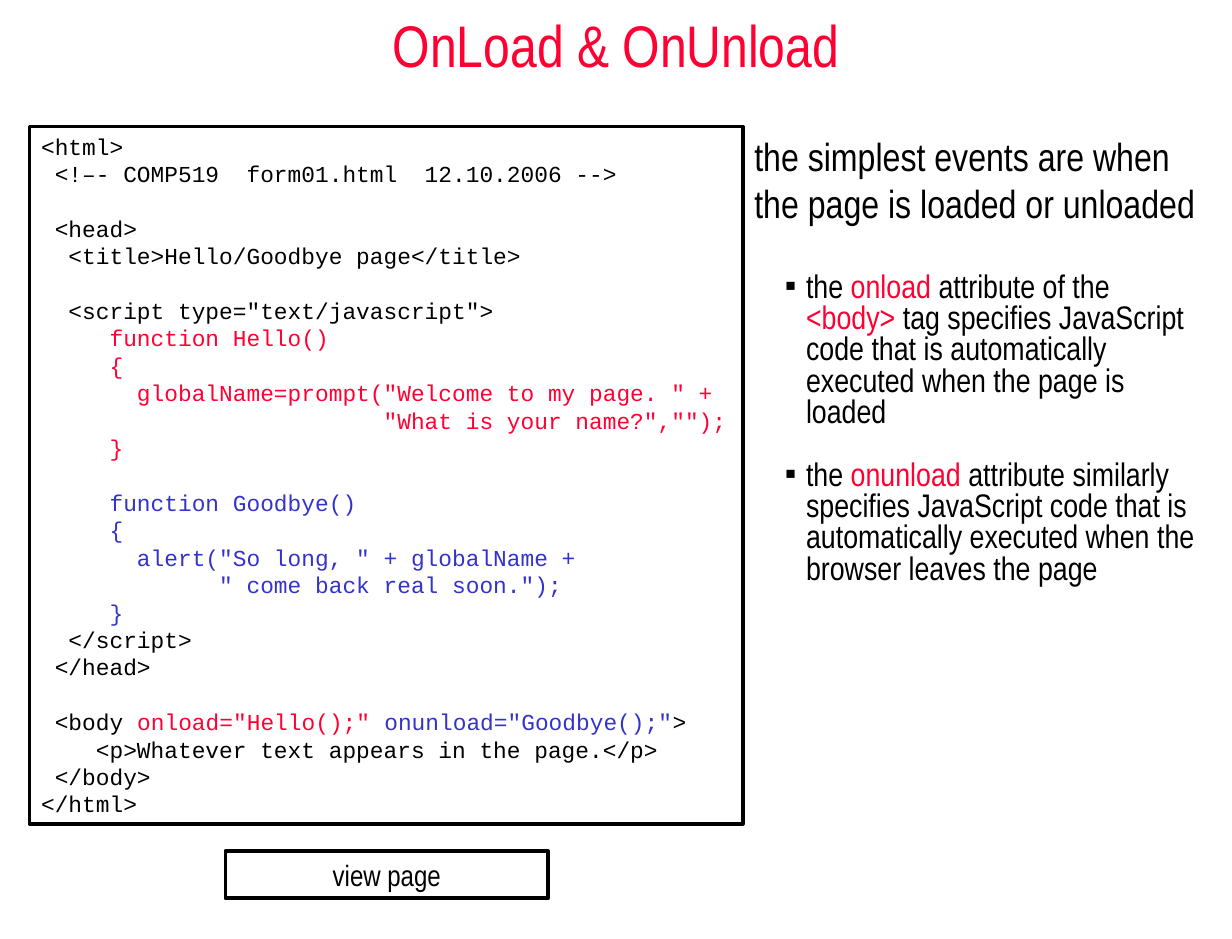
import pptx
import pptx.dml.color
import pptx.enum.text
import pptx.oxml
import pptx.util
from pptx.dml.color import RGBColor
from pptx.enum.shapes import MSO_SHAPE
from pptx.enum.text import MSO_ANCHOR, PP_ALIGN
from pptx.oxml.ns import qn
from pptx.util import Cm, Pt

BLACK = RGBColor(0x00, 0x00, 0x00)
RED = RGBColor(0xFF, 0x00, 0x33)
BLUE = RGBColor(0x33, 0x33, 0xCC)
PROSE_FONT = "Arial Narrow"
CODE_FONT = "Courier New"
CODE_PITCH = Pt(16.8)

CODE_BLOCKS = [
    [
        [("<html>", BLACK)],
        [(" <!–- COMP519  form01.html  12.10.2006 -->", BLACK)],
    ],
    [
        [(" <head>", BLACK)],
        [("  <title>Hello/Goodbye page</title>", BLACK)],
    ],
    [
        [('  <script type="text/javascript">', BLACK)],
        [("     function Hello()", RED)],
        [("     {", RED)],
        [('       globalName=prompt("Welcome to my page. " +', RED)],
        [('                         "What is your name?","");', RED)],
        [("     }", RED)],
    ],
    [
        [("     function Goodbye()", BLUE)],
        [("     {", BLUE)],
        [('       alert("So long, " + globalName +', BLUE)],
        [('             " come back real soon.");', BLUE)],
        [("     }", BLUE)],
        [("  </script>", BLACK)],
        [(" </head>", BLACK)],
    ],
    [
        [(" <body ", BLACK), ('onload="Hello();" ', RED),
         ('onunload="Goodbye();"', BLUE), (">", BLACK)],
        [("    <p>Whatever text appears in the page.</p>", BLACK)],
        [(" </body>", BLACK)],
        [("</html>", BLACK)],
    ],
]

INTRO = [("the simplest events are when the page is loaded or unloaded", BLACK)]
POINTS = [
    ([("the ", BLACK), ("onload", RED), (" attribute of the ", BLACK), ("<body>", RED),
      (" tag specifies JavaScript code that is automatically executed "
       "when the page is loaded", BLACK)], Pt(28.8)),
    ([("the", BLACK), (" onunload", RED),
      (" attribute similarly specifies JavaScript code that is automatically "
       "executed when the browser leaves the page", BLACK)], Pt(19.2)),
]


def write(paragraph, pieces, font, size):
    for text, color in pieces:
        run = paragraph.add_run()
        run.text = text
        run.font.name = font
        run.font.size = Pt(size)
        run.font.color.rgb = color


def next_paragraph(frame, first):
    return frame.paragraphs[0] if first else frame.add_paragraph()


def add_bullet(paragraph):
    properties = paragraph._p.get_or_add_pPr()
    properties.set("marL", str(Cm(1.12)))
    properties.set("indent", str(Cm(-0.46)))
    color = pptx.oxml.xmlchemy.OxmlElement("a:buClr")
    pptx.oxml.xmlchemy.OxmlElement("a:srgbClr")
    value = color.makeelement(qn("a:srgbClr"), {"val": str(BLACK)})
    color.append(value)
    properties.append(color)
    for tag, key, setting in (("a:buFont", "typeface", "Arial"), ("a:buChar", "char", "▪")):
        properties.append(color.makeelement(qn(tag), {key: setting}))


def add_frame(slide, box):
    outline = slide.shapes.add_shape(MSO_SHAPE.RECTANGLE, *box)
    outline.shadow.inherit = False
    outline.fill.background()
    outline.line.color.rgb = BLACK
    outline.line.width = Pt(2.24)
    return outline.text_frame


def place_heading(slide, box):
    heading = slide.shapes.title
    heading.left, heading.top, heading.width, heading.height = box
    frame = heading.text_frame
    frame.vertical_anchor = MSO_ANCHOR.MIDDLE
    frame.paragraphs[0].alignment = PP_ALIGN.CENTER
    write(frame.paragraphs[0], [("OnLoad & OnUnload", RED)], PROSE_FONT, 36)


def place_listing(slide, box):
    frame = add_frame(slide, box)
    frame.vertical_anchor = MSO_ANCHOR.TOP
    frame.word_wrap = True
    for block_index, block in enumerate(CODE_BLOCKS):
        for line_index, pieces in enumerate(block):
            line = next_paragraph(frame, block_index == line_index == 0)
            line.alignment = PP_ALIGN.LEFT
            line.line_spacing = CODE_PITCH
            if block_index and line_index == 0:
                line.space_before = CODE_PITCH
            write(line, pieces, CODE_FONT, 14)


def place_explanation(slide, box):
    frame = slide.shapes.add_textbox(*box).text_frame
    frame.word_wrap = True
    write(frame.paragraphs[0], INTRO, PROSE_FONT, 24)
    for pieces, gap in POINTS:
        point = frame.add_paragraph()
        point.level = 1
        point.line_spacing = 0.8
        point.space_before = gap
        add_bullet(point)
        write(point, pieces, PROSE_FONT, 20)


def place_button(slide, box):
    frame = add_frame(slide, box)
    frame.vertical_anchor = MSO_ANCHOR.MIDDLE
    frame.paragraphs[0].alignment = PP_ALIGN.CENTER
    write(frame.paragraphs[0], [("view page", BLACK)], PROSE_FONT, 18)


deck = pptx.Presentation()
deck.slide_width = Cm(26.67)
deck.slide_height = Cm(20.32)
events_slide = deck.slides.add_slide(deck.slide_layouts[5])
place_heading(events_slide, (0, 0, deck.slide_width, Cm(1.91)))
place_explanation(events_slide, (Cm(16.08), Cm(2.74), Cm(10.16), Cm(13.21)))
place_listing(events_slide, (Cm(0.64), Cm(2.74), Cm(15.44), Cm(15.09)))
place_button(events_slide, (Cm(4.88), Cm(18.42), Cm(6.99), Cm(1.02)))
deck.save("out.pptx")
